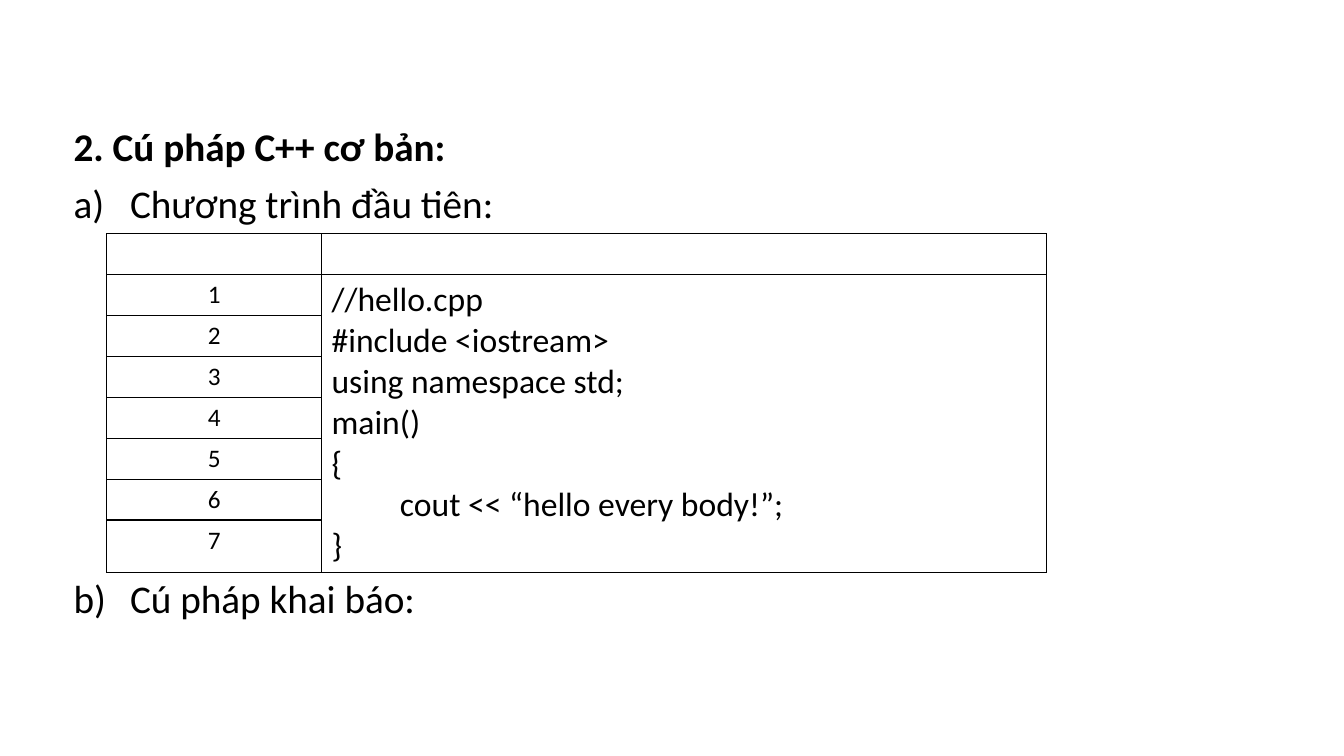
"""Build the slide on basic C++ syntax with a numbered code table."""
from lxml.etree import SubElement
from pptx import Presentation
from pptx.dml.color import RGBColor
from pptx.enum.text import MSO_ANCHOR, MSO_AUTO_SIZE, PP_ALIGN
from pptx.oxml.ns import qn
from pptx.util import Inches, Pt

COLORS = {"ink": "000000", "paper": "FFFFFF"}
FONT = "Calibri"
ROW_HEIGHT = 0.405
LAST_ROW_HEIGHT = 0.52
COLUMN_WIDTHS = [2.13, 7.19]
INDENT = Inches(0.56)
CODE = [
    "//hello.cpp",
    "#include <iostream>",
    "using namespace std;",
    "main()",
    "{",
    "         cout << “hello every body!”;",
    "}",
]
OUTLINE = [
    ("2. Cú pháp C++ cơ bản:", 0, False),
    ("Chương trình đầu tiên:", 10, True),
    ("Cú pháp khai báo:", 252, True),
]


def style(paragraph, size, bold=False):
    """Set the font shared by all runs of a paragraph."""
    paragraph.font.name = FONT
    paragraph.font.size = Pt(size)
    paragraph.font.bold = bold
    paragraph.font.color.rgb = RGBColor.from_string(COLORS["ink"])


def add_borders(cell):
    """Draw a thin line on each side of a table cell."""
    properties = cell._tc.get_or_add_tcPr()
    for side in ("lnL", "lnR", "lnT", "lnB"):
        line = SubElement(properties, qn(f"a:{side}"), w=str(Pt(1)))
        fill = SubElement(line, qn("a:solidFill"))
        SubElement(fill, qn("a:srgbClr"), val=COLORS["ink"])


presentation = Presentation()
presentation.slide_width = Inches(13.333)
presentation.slide_height = Inches(7.5)
slide = presentation.slides.add_slide(presentation.slide_layouts[1])
slide.background.fill.solid()
slide.background.fill.fore_color.rgb = RGBColor.from_string(COLORS["paper"])
title = slide.shapes.title.element
title.getparent().remove(title)

body = slide.placeholders[1]
body.left, body.top = Inches(0.63), Inches(1.22)
body.width, body.height = Inches(11.5), Inches(5.39)
body_frame = body.text_frame
body_frame.auto_size = MSO_AUTO_SIZE.NONE
body_frame.vertical_anchor = MSO_ANCHOR.TOP
body_frame.text = "\n".join(text for text, _, _ in OUTLINE)
for paragraph, (_, space_before, lettered) in zip(body_frame.paragraphs, OUTLINE):
    paragraph.line_spacing = 0.9
    paragraph.space_before = Pt(space_before)
    properties = paragraph._p.get_or_add_pPr()
    properties.set("marL", str(INDENT if lettered else 0))
    properties.set("indent", str(-INDENT if lettered else 0))
    if lettered:
        SubElement(properties, qn("a:buFont"), typeface="+mj-lt")
        SubElement(properties, qn("a:buAutoNum"), type="alphaLcParenR")
    else:
        SubElement(properties, qn("a:buNone"))
    style(paragraph, 28, bold=not lettered)

row_heights = [ROW_HEIGHT] * len(CODE) + [LAST_ROW_HEIGHT]
table = slide.shapes.add_table(
    len(row_heights), len(COLUMN_WIDTHS), Inches(1.06), Inches(2.32),
    Inches(sum(COLUMN_WIDTHS)), Inches(sum(row_heights)),
).table
table.first_row = False
table.horz_banding = False
for column, width in zip(table.columns, COLUMN_WIDTHS):
    column.width = Inches(width)
for row, height in zip(table.rows, row_heights):
    row.height = Inches(height)
for cell in table.iter_cells():
    add_borders(cell)
    cell.fill.background()
    style(cell.text_frame.paragraphs[0], 18)

for number in range(1, len(CODE) + 1):
    number_cell = table.cell(number, 0)
    number_cell.text = str(number)
    paragraph = number_cell.text_frame.paragraphs[0]
    paragraph.alignment = PP_ALIGN.CENTER
    style(paragraph, 18)

code_cell = table.cell(1, 1)
code_cell.merge(table.cell(len(CODE), 1))
code_cell.text = "\n".join(CODE)
for paragraph in code_cell.text_frame.paragraphs:
    style(paragraph, 24)

presentation.save("out.pptx")
